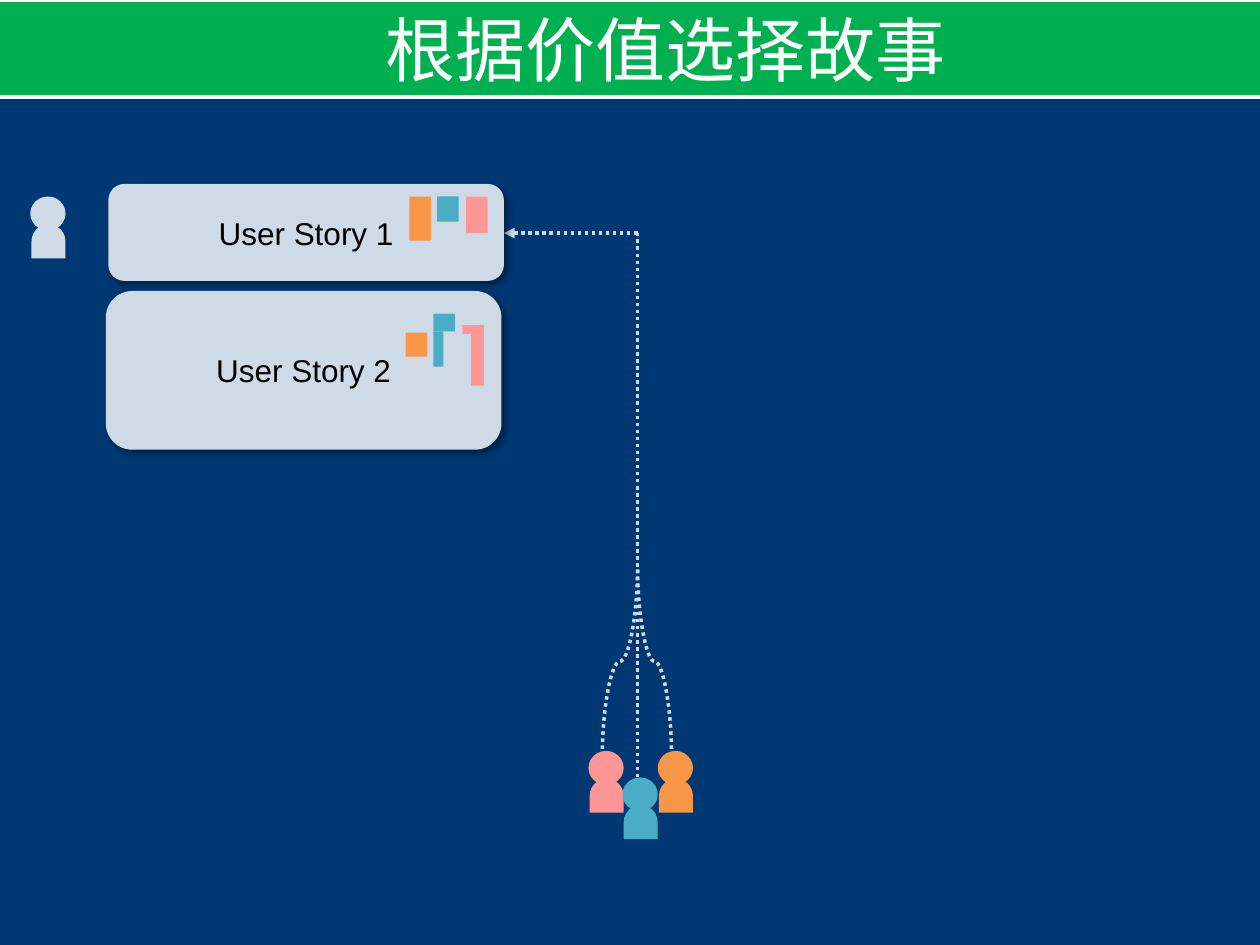
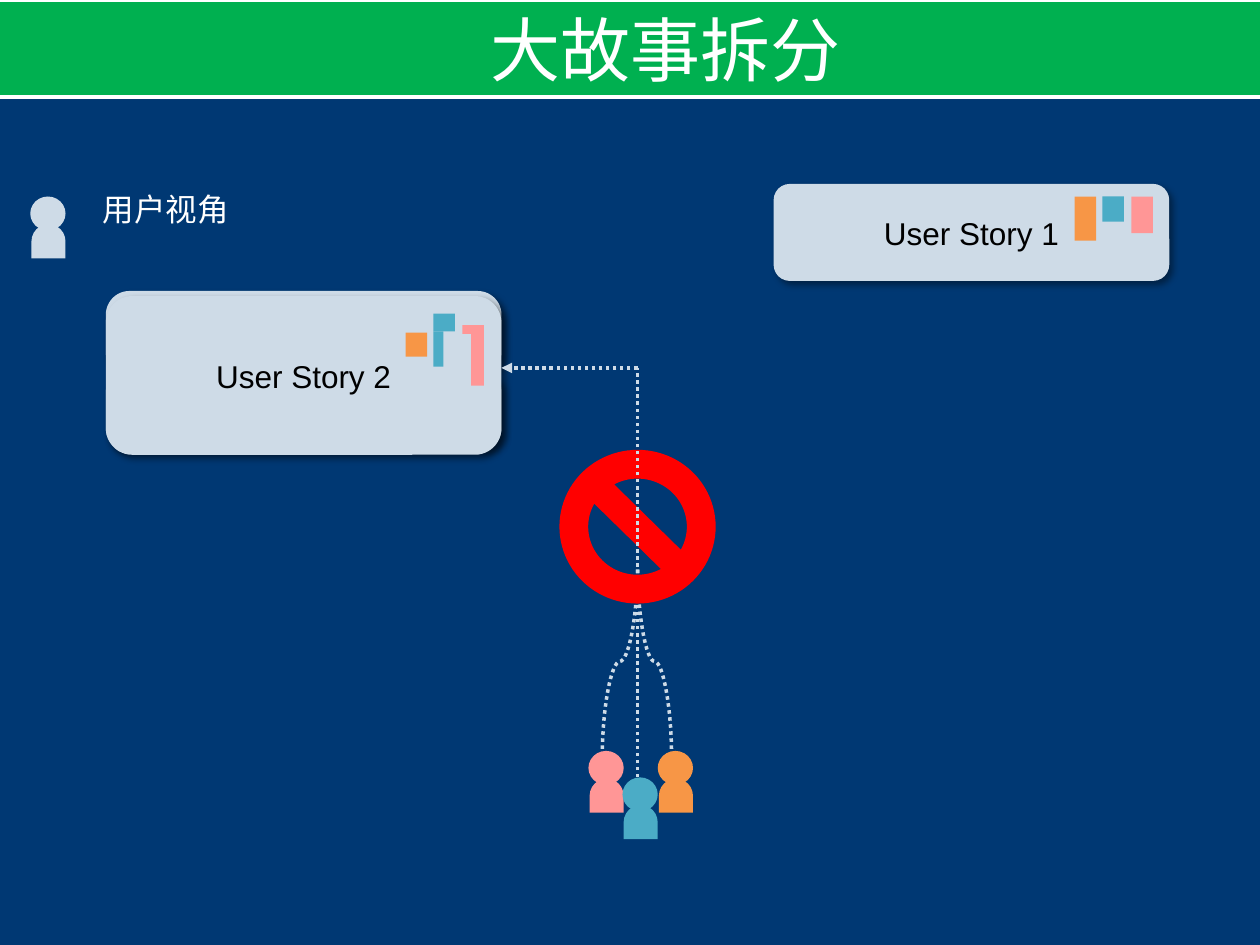
from dataclasses import dataclass

from lxml import etree
from pptx import Presentation
from pptx.dml.color import RGBColor
from pptx.enum.dml import MSO_LINE
from pptx.enum.shapes import MSO_CONNECTOR, MSO_SHAPE
from pptx.enum.text import MSO_ANCHOR, PP_ALIGN
from pptx.oxml import parse_xml
from pptx.oxml.ns import nsdecls, qn
from pptx.shapes.autoshape import Shape
from pptx.shapes.connector import Connector
from pptx.slide import Slide
from pptx.text.text import TextFrame
from pptx.util import Inches, Pt

RECT, ROUNDED = MSO_SHAPE.RECTANGLE, MSO_SHAPE.ROUNDED_RECTANGLE
OVAL, DELAY = MSO_SHAPE.OVAL, MSO_SHAPE.FLOWCHART_DELAY
NO_SYMBOL = MSO_SHAPE.NO_SYMBOL
STRAIGHT, CURVE = MSO_CONNECTOR.STRAIGHT, MSO_CONNECTOR.CURVE
DOTTED = MSO_LINE.ROUND_DOT
CENTER, MIDDLE, TOP = PP_ALIGN.CENTER, MSO_ANCHOR.MIDDLE, MSO_ANCHOR.TOP

FONT = "Arial"
NAVY, GREEN, WHITE, BLACK = "003873", "00B050", "FFFFFF", "000000"
PALE, RED = "CEDBE7", "FF0000"
ORANGE, TEAL, PINK = "F79646", "4BACC6", "FF9696"

TRUNK_X, JOIN_Y = 5.06, 4.5
CARD_WIDTH = 3.14


@dataclass(frozen=True)
class Box:
    """A rectangle in inches."""
    left: float
    top: float
    width: float
    height: float

    def lengths(self) -> tuple:
        """Give the four measures as lengths."""
        return tuple(Inches(value) for value in
                     (self.left, self.top, self.width, self.height))


@dataclass(frozen=True)
class Person:
    """A head-and-shoulders figure, placed by the corner of its head."""
    left: float
    top: float
    color: str


@dataclass(frozen=True)
class Bar:
    """A task bar, placed relative to its story card."""
    box: Box
    color: str


USER = Person(0.24, 1.56, PALE)
TEAM = (Person(4.67, 5.96, PINK), Person(4.94, 6.17, TEAL),
        Person(5.22, 5.96, ORANGE))
STORY_1_BARS = (
    Bar(Box(2.39, 0.1, 0.17, 0.35), ORANGE),
    Bar(Box(2.61, 0.1, 0.17, 0.2), TEAL),
    Bar(Box(2.84, 0.1, 0.17, 0.29), PINK),
)
STORY_2_BARS = (
    Bar(Box(2.38, 0.33, 0.17, 0.19), ORANGE),
    Bar(Box(2.6, 0.18, 0.17, 0.14), TEAL),
    Bar(Box(2.6, 0.32, 0.08, 0.28), TEAL),
    Bar(Box(2.83, 0.27, 0.17, 0.07), PINK),
    Bar(Box(2.9, 0.33, 0.1, 0.42), PINK),
)


def rgb(color: str) -> RGBColor:
    """Turn a hex string into a colour."""
    return RGBColor.from_string(color)


def write(frame: TextFrame, text: str, size: float, color: str,
          anchor=MIDDLE) -> None:
    """Set centred text in one font."""
    frame.text = text
    frame.vertical_anchor = anchor
    paragraph = frame.paragraphs[0]
    paragraph.alignment = CENTER
    for span in paragraph.runs:
        span.font.name = FONT
        span.font.size = Pt(size)
        span.font.color.rgb = rgb(color)


def add_block(page: Slide, kind, box: Box, color: str) -> Shape:
    """Add a plain filled shape."""
    block = page.shapes.add_shape(kind, *box.lengths())
    block.shadow.inherit = False
    block.fill.solid()
    block.fill.fore_color.rgb = rgb(color)
    block.line.fill.background()
    return block


def add_card(page: Slide, box: Box, text: str = "",
             rounding: float = 0.1667) -> None:
    """Add a rounded card with a soft drop shadow."""
    card = add_block(page, ROUNDED, box, PALE)
    card.adjustments[0] = rounding
    effects = card.element.spPr.find(qn("a:effectLst"))
    effects.append(parse_xml(
        f'<a:outerShdw {nsdecls("a")} blurRad="{Pt(4)}" dist="{Pt(3)}" '
        f'dir="{45 * 60000}" algn="tl" rotWithShape="0">'
        f'<a:srgbClr val="{BLACK}"><a:alpha val="40000"/></a:srgbClr>'
        '</a:outerShdw>'))
    if text:
        write(card.text_frame, text, 18, BLACK)


def add_bars(page: Slide, left: float, top: float, bars: tuple) -> None:
    """Add the task bars of a card whose corner is given."""
    for bar in bars:
        box = Box(left + bar.box.left, top + bar.box.top,
                  bar.box.width, bar.box.height)
        add_block(page, RECT, box, bar.color)


def add_person(page: Slide, person: Person) -> None:
    """Add a figure made of shoulders and a head."""
    shoulders = Box(person.left + 0.01, person.top + 0.22, 0.27, 0.27)
    add_block(page, DELAY, shoulders, person.color).rotation = 270
    head = Box(person.left, person.top, 0.28, 0.27)
    add_block(page, OVAL, head, person.color)


def add_dotted(page: Slide, start: tuple, end: tuple, kind=STRAIGHT,
               arrow: bool = False) -> Connector:
    """Add a dotted connector, with an arrowhead at its end if asked."""
    points = (Inches(value) for value in (*start, *end))
    connector = page.shapes.add_connector(kind, *points)
    connector.line.color.rgb = rgb(PALE)
    connector.line.width = Pt(2)
    connector.line.dash_style = DOTTED
    properties = connector.element.spPr
    if arrow:
        outline = properties.find(qn("a:ln"))
        etree.SubElement(outline, qn("a:tailEnd"), type="triangle")
    etree.SubElement(properties, qn("a:effectLst"))
    return connector


def add_rising_curve(page: Slide, start_x: float, start_y: float) -> None:
    """Add a curve that leaves upwards and joins the trunk."""
    middle_x, middle_y = (start_x + TRUNK_X) / 2, (start_y + JOIN_Y) / 2
    run, rise = abs(TRUNK_X - start_x) / 2, (start_y - JOIN_Y) / 2
    side, turn = (1, 90) if start_x < TRUNK_X else (-1, 270)
    curve = add_dotted(page, (middle_x + side * rise, middle_y + run),
                       (middle_x - side * rise, middle_y - run), CURVE)
    curve.element.spPr.find(qn("a:xfrm")).set("rot", str(turn * 60000))


def add_team(page: Slide) -> None:
    """Add the team and the three lines that join above it."""
    add_dotted(page, (TRUNK_X, 6.17), (TRUNK_X, JOIN_Y))
    for start_x in (4.78, 5.33):
        add_rising_curve(page, start_x, 6)
    for person in TEAM:
        add_person(page, person)


def add_route(page: Slide, card_right: float, height: float) -> None:
    """Lead the trunk up and then left to a card."""
    add_dotted(page, (TRUNK_X, JOIN_Y), (TRUNK_X, height))
    add_dotted(page, (TRUNK_X, height), (card_right, height), arrow=True)


def add_page(deck, heading: str) -> Slide:
    """Add a page with its green band and title."""
    page = deck.slides.add_slide(deck.slide_layouts[5])
    title = page.shapes.title
    title.left, title.top, title.width, title.height = Box(
        2.78, 0, 5, 0.77).lengths()
    write(title.text_frame, heading, 40, WHITE)
    band = add_block(page, RECT, Box(-0.27, 0, 10.62, 0.77), GREEN)
    band.line.color.rgb = rgb(WHITE)
    band.line.width = Pt(2)
    title.element.addprevious(band.element)
    return page


def build_choice_page(deck) -> None:
    """Build the page on choosing stories by value."""
    page = add_page(deck, "根据价值选择故事")
    add_team(page)
    add_route(page, 4, 1.85)
    add_card(page, Box(0.86, 1.46, CARD_WIDTH, 0.77), "User Story 1")
    add_card(page, Box(0.84, 2.31, CARD_WIDTH, 1.26), "User Story 2")
    add_person(page, USER)
    add_bars(page, 0.86, 1.46, STORY_1_BARS)
    add_bars(page, 0.84, 2.31, STORY_2_BARS)


def build_split_page(deck) -> None:
    """Build the page on splitting a large story."""
    page = add_page(deck, "大故事拆分")
    add_card(page, Box(0.84, 2.31, CARD_WIDTH, 0.67), rounding=0.28)
    add_card(page, Box(0.84, 2.94, CARD_WIDTH, 0.63), rounding=0.26)
    add_card(page, Box(0.84, 2.35, CARD_WIDTH, 1.26), "User Story 2")
    add_card(page, Box(6.14, 1.46, CARD_WIDTH, 0.77), "User Story 1")
    add_bars(page, 6.14, 1.46, STORY_1_BARS)
    add_person(page, USER)
    add_team(page)
    stop_sign = Box(4.44, 3.57, 1.24, 1.22)
    add_block(page, NO_SYMBOL, stop_sign, RED)
    add_route(page, 3.98, 2.92)
    add_bars(page, 0.84, 2.31, STORY_2_BARS)
    label = page.shapes.add_textbox(*Box(0.52, 1.46, 1.59, 0.4).lengths())
    label.text_frame.word_wrap = True
    write(label.text_frame, "用户视角", 18, WHITE, TOP)


def main() -> None:
    """Build and save the deck."""
    deck = Presentation()
    deck.slide_width, deck.slide_height = Inches(10), Inches(7.5)
    backdrop = deck.slide_master.background.fill
    backdrop.solid()
    backdrop.fore_color.rgb = rgb(NAVY)
    build_choice_page(deck)
    build_split_page(deck)
    deck.save("out.pptx")


main()
